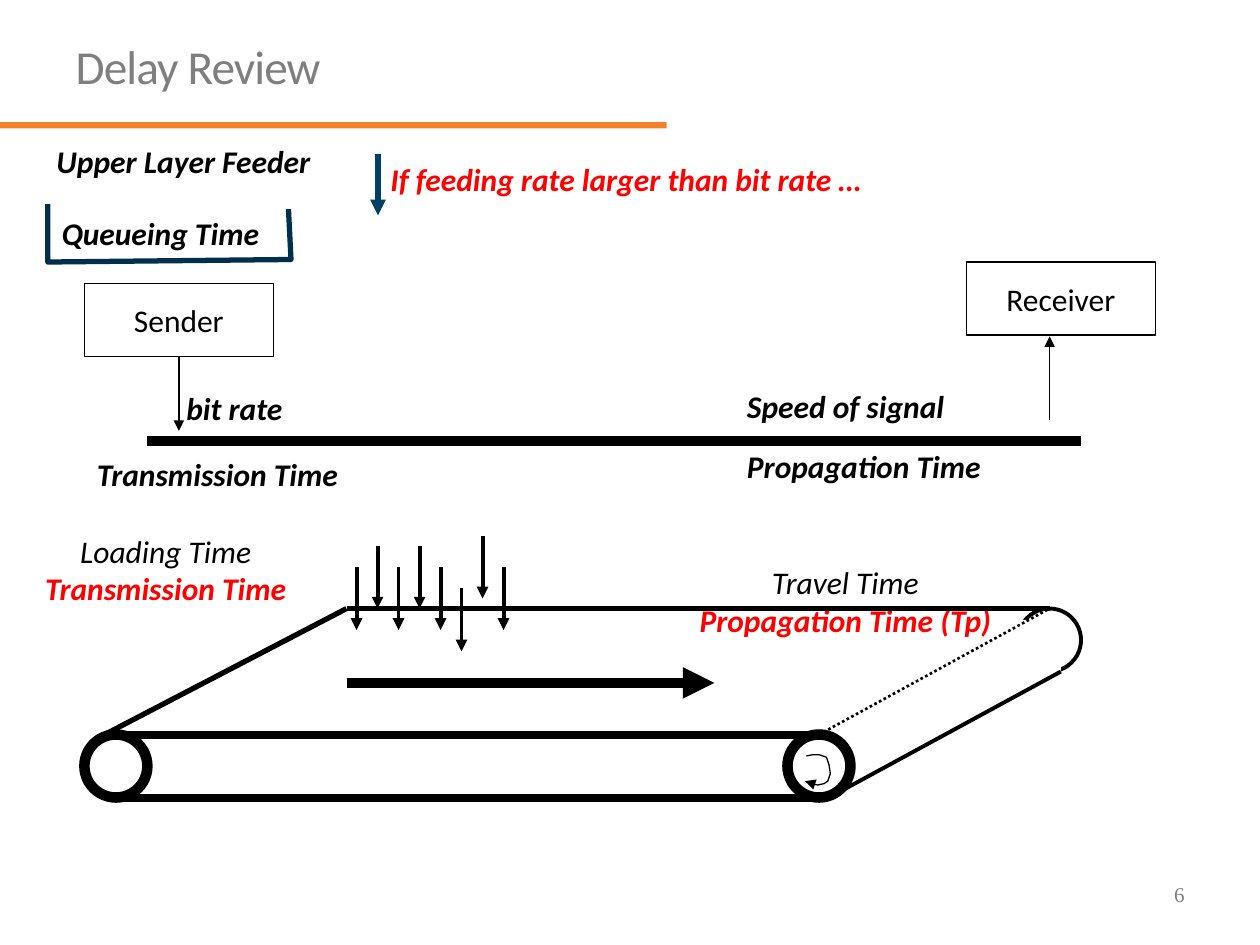
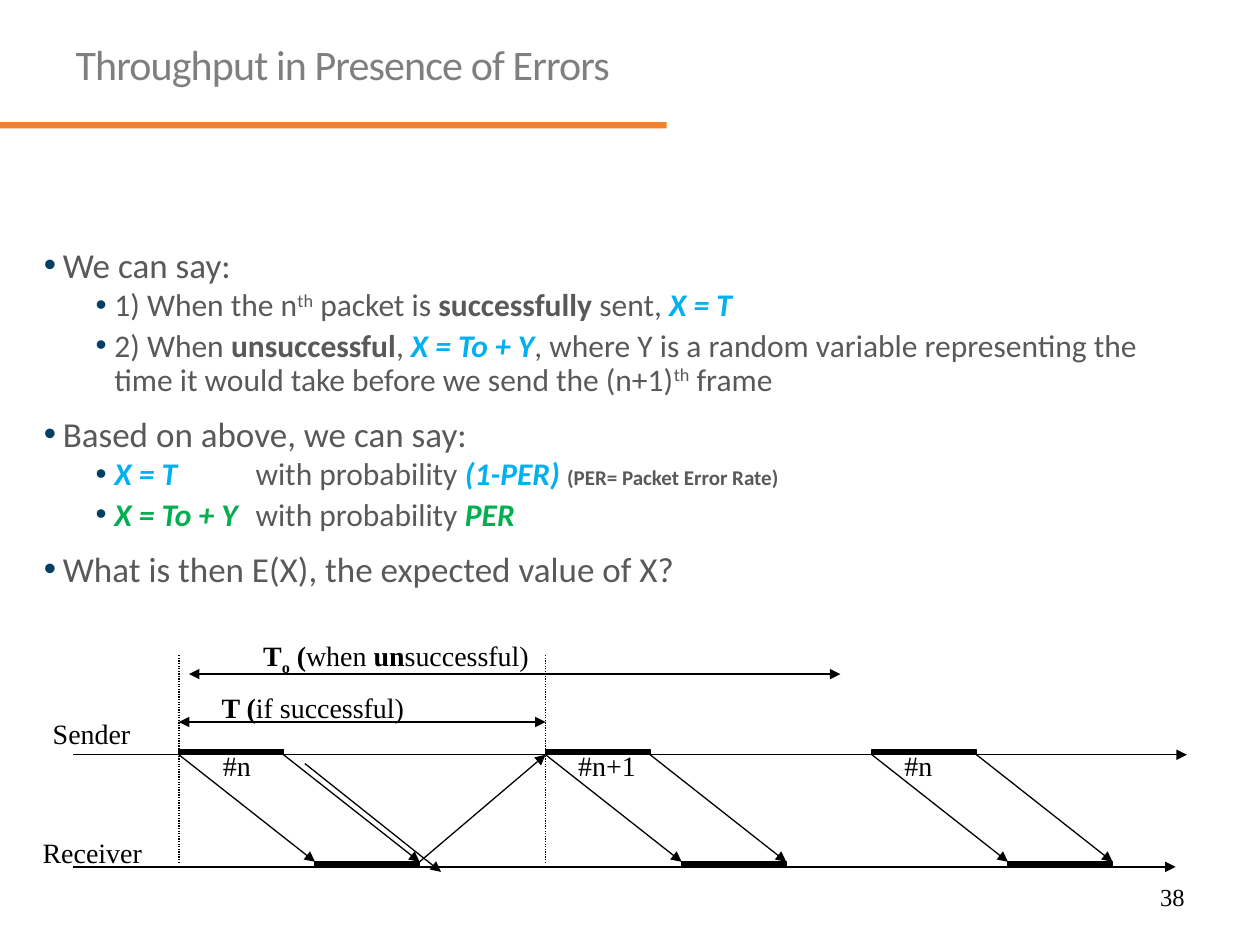
"""Build two lecture slides on delay and throughput."""
import dataclasses

import pptx
import pptx.dml.color
import pptx.enum.dml
import pptx.enum.shapes
import pptx.enum.text
import pptx.oxml
import pptx.oxml.ns
import pptx.util

Inches = pptx.util.Inches
Pt = pptx.util.Pt
SHAPE = pptx.enum.shapes.MSO_SHAPE
ALIGN = pptx.enum.text.PP_ALIGN
ANCHOR = pptx.enum.text.MSO_ANCHOR
qn = pptx.oxml.ns.qn


@dataclasses.dataclass(frozen=True)
class Theme:
    """Colours, fonts and type sizes of the deck."""
    sans: str = "Calibri"
    serif: str = "Times New Roman"
    black: str = "000000"
    white: str = "FFFFFF"
    band: str = "F4812A"
    title: str = "7F7F7F"
    body: str = "595959"
    navy: str = "004065"
    queue: str = "002F4B"
    red: str = "FF0000"
    blue: str = "00B0F0"
    green: str = "00B050"
    thin: float = 0.75
    diagram_size: int = 18
    timing_size: int = 16
    point_size: int = 20
    note_size: int = 12


THEME = Theme()
PLAIN = dict(name=THEME.sans, size=THEME.diagram_size, color=THEME.black)
ITALIC = dict(PLAIN, italic=True)
STRONG = dict(ITALIC, bold=True)
ALERT = dict(STRONG, color=THEME.red)
SERIF = dict(name=THEME.serif, size=THEME.timing_size, color=THEME.black)
POINT = dict(name=THEME.sans, size=THEME.point_size, color=THEME.body)
DETAIL = dict(POINT, size=THEME.diagram_size)
BOLD = dict(bold=True)
SUPER = dict(baseline=30000)
BLUE = dict(color=THEME.blue, bold=True, italic=True)
GREEN = dict(BLUE, color=THEME.green)


def rgb(code):
    """Turn a hex code into a colour."""
    return pptx.dml.color.RGBColor.from_string(code)


def apply(target, **values):
    """Set each given value on the target."""
    for name, value in values.items():
        setattr(target, name, value)


def write(paragraph, runs, style):
    """Add (text, changes) runs that vary one base style."""
    for text, changes in runs:
        values = {**style, **changes}
        run = paragraph.add_run()
        run.text = text
        run.font.color.rgb = rgb(values.pop("color"))
        values["size"] = Pt(values["size"])
        for name in ("baseline", "spc"):
            if name in values:
                run.font._element.set(name, str(values.pop(name)))
        apply(run.font, **values)


def add_ends(shape, head, tail):
    """Put triangular arrowheads on the chosen ends of an outline."""
    outline = shape.element.spPr.find(qn("a:ln"))
    for tag, wanted in (("a:headEnd", head), ("a:tailEnd", tail)):
        if wanted:
            pptx.oxml.ns.qn(tag)
            end = outline.makeelement(qn(tag), {"type": "triangle"})
            outline.append(end)


@dataclasses.dataclass
class Region:
    """Part of a slide whose members are placed from its top left corner."""
    slide: object
    left: float
    top: float

    def at(self, x, y):
        """Give slide lengths for a point of the region."""
        return Inches(self.left + x), Inches(self.top + y)

    def paint(self, shape, fill, outline, width):
        """Set the fill and outline and drop the shadow."""
        shape.shadow.inherit = False
        if fill:
            shape.fill.solid()
            shape.fill.fore_color.rgb = rgb(fill)
        else:
            shape.fill.background()
        if outline:
            shape.line.color.rgb = rgb(outline)
            shape.line.width = Pt(width)
        else:
            shape.line.fill.background()
        return shape

    def shape(self, x, y, width, height, kind=SHAPE.RECTANGLE, fill=None,
              outline=THEME.black, weight=THEME.thin):
        """Add a preset shape."""
        figure = self.slide.shapes.add_shape(
            kind, *self.at(x, y), Inches(width), Inches(height))
        return self.paint(figure, fill, outline, weight)

    def line(self, start, end, weight=THEME.thin, color=THEME.black,
             head=False, tail=False, dotted=False):
        """Add a straight connector."""
        connector = self.slide.shapes.add_connector(
            pptx.enum.shapes.MSO_CONNECTOR.STRAIGHT, *self.at(*start), *self.at(*end))
        connector.line.color.rgb = rgb(color)
        connector.line.width = Pt(weight)
        if dotted:
            connector.line.dash_style = pptx.enum.dml.MSO_LINE.ROUND_DOT
        add_ends(connector, head, tail)
        properties = connector.element.spPr
        properties.append(properties.makeelement(qn("a:effectLst"), {}))
        return connector

    def outline(self, points, color=THEME.black, weight=THEME.thin, tail=False):
        """Add an open outline through the points."""
        start, *others = [self.at(*point) for point in points]
        builder = self.slide.shapes.build_freeform(*start)
        builder.add_line_segments(others, close=False)
        add_ends(self.paint(builder.convert_to_shape(), None, color, weight), False, tail)

    def label(self, x, y, width, height, lines, style, align=ALIGN.LEFT, wrap=False):
        """Add text, one list of runs a paragraph."""
        box = self.slide.shapes.add_textbox(*self.at(x, y), Inches(width), Inches(height))
        box.text_frame.word_wrap = wrap
        for number, runs in enumerate(lines):
            frame = box.text_frame
            paragraph = frame.add_paragraph() if number else frame.paragraphs[0]
            paragraph.alignment = align
            write(paragraph, runs, style)
        return box


def add_titled_slide(deck, title, title_size, number, number_style):
    """Start a slide with its title, orange band and page number."""
    slide = deck.slides.add_slide(deck.slide_layouts[5])
    page = Region(slide, 0, 0)
    page.shape(0, 0.97, 5.29, 0.05, fill=THEME.band, outline=None)
    heading = slide.shapes.title
    apply(heading, left=Inches(0.5), top=Inches(0.3), width=Inches(9), height=Inches(0.67))
    apply(heading.text_frame, vertical_anchor=ANCHOR.TOP, word_wrap=True,
          auto_size=pptx.enum.text.MSO_AUTO_SIZE.NONE)
    paragraph = heading.text_frame.paragraphs[0]
    apply(paragraph, alignment=ALIGN.LEFT, line_spacing=0.9)
    write(paragraph, [(title, {})],
          dict(name=THEME.sans, size=title_size, color=THEME.title, spc=-50))
    page.label(7.17, 6.95, 2.33, 0.4, [[(number, {})]], dict(SERIF, **number_style),
               ALIGN.RIGHT, wrap=True)
    return slide


def add_link(slide, left, top):
    """Draw the sender, the receiver and the link between them."""
    link = Region(slide, left, top)
    stations = {}
    for name, x, y in (("Sender", 0, 0.17), ("Receiver", 7, 0)):
        station = stations[name] = link.shape(x, y, 1.5, 0.58)
        apply(station.text_frame, vertical_anchor=ANCHOR.MIDDLE, word_wrap=False)
        paragraph = station.text_frame.paragraphs[0]
        paragraph.alignment = ALIGN.CENTER
        write(paragraph, [(name, {})], PLAIN)
    link.line((0.75, 0.75), (0.75, 1.34), tail=True).begin_connect(stations["Sender"], 2)
    link.line((7.66, 1.25), (7.66, 0.59), tail=True)
    link.line((0.5, 1.42), (7.91, 1.42), weight=6)
    for text, x, y, width in (("bit rate", 0.71, 0.96, 1.01),
                              ("Propagation Time", 5.16, 1.42, 2.15),
                              ("Transmission Time", 0, 1.48, 2.19),
                              ("Speed of signal", 5.16, 0.94, 1.87)):
        link.label(x, y, width, 0.4, [[(text, {})]], STRONG)


def add_conveyor(slide, left, top):
    """Draw the conveyor belt that stands for the link."""
    belt = Region(slide, left, top)
    for x, y, width, plain, alert in (
            (4.69, 0.25, 2.7, "Travel Time", "Propagation Time (Tp)"),
            (-0.45, 0, 2.19, "Loading Time", "Transmission Time")):
        belt.label(x, y, width, 0.71, [[(plain, {})], [(alert, ALERT)]], ITALIC, ALIGN.CENTER)
    for slot, y in enumerate((0.33, 0.16, 0.33, 0.16, 0.33, 0.5, 0.08, 0.33)):
        x = 2.16 + slot / 6
        belt.line((x, y), (x, y + 0.5), weight=2.25, tail=True)
    belt.line((2.08, 1.25), (5, 1.25), weight=6, tail=True)
    belt.line((0.16, 1.66), (2.08, 0.66), weight=3)
    for x in (0, 5.58):
        belt.shape(x, 1.66, 0.5, 0.5, SHAPE.OVAL, weight=6)
    for y in (1.66, 2.16):
        belt.line((0.25, y), (5.83, y), weight=4.5)
    belt.line((2.08, 0.66), (7.66, 0.66), weight=3)
    belt.shape(7.41, 0.66, 0.5, 0.5, SHAPE.OVAL, weight=2.25)
    belt.shape(7.33, 0.75, 0.42, 0.5, fill=THEME.white, outline=None)
    belt.line((5.83, 1.66), (7.66, 0.66), weight=1.5, dotted=True)
    belt.line((5.91, 2.16), (7.75, 1.16), weight=2.25)
    belt.outline([(5.73, 1.83), (5.78, 1.82), (5.83, 1.82), (5.89, 1.84), (5.91, 1.9),
                  (5.92, 1.97), (5.9, 2.03), (5.87, 2.05), (5.82, 2.06), (5.77, 2.05),
                  (5.72, 2.03)], tail=True)


def add_feeder(slide, left, top):
    """Draw the upper layer feeder and its queue."""
    feeder = Region(slide, left, top)
    feeder.label(0, 0, 2.4, 0.4, [[("Upper Layer Feeder", {})]], STRONG)
    feeder.line((2.65, 0.14), (2.65, 0.63), weight=3, color=THEME.navy, tail=True)
    feeder.label(2.65, 0.14, 4.25, 0.4,
                 [[("If feeding rate larger than bit rate …", {})]], ALERT)
    feeder.label(0.04, 0.57, 1.86, 0.4, [[("Queueing Time", {})]], STRONG)
    feeder.outline([(0.03, 0.54), (0.03, 1), (1.96, 0.98), (1.94, 0.58)], THEME.queue, 3)


def format_bullet(paragraph, indent, before, after):
    """Give a paragraph its spacing, hanging bullet and tab stop."""
    apply(paragraph, line_spacing=0.9, space_before=Pt(before), space_after=Pt(after))
    properties = paragraph._p.get_or_add_pPr()
    properties.set("marL", str(Inches(indent)))
    properties.set("indent", str(Inches(-0.15)))
    namespace = pptx.oxml.ns.nsdecls("a")
    for xml in (f'<a:buClr {namespace}><a:srgbClr val="{THEME.navy}"/></a:buClr>',
                f'<a:buFont {namespace} typeface="Arial"/>',
                f'<a:buChar {namespace} char="•"/>',
                f'<a:tabLst {namespace}><a:tab pos="{Inches(1.68)}" algn="l"/></a:tabLst>'):
        properties.append(pptx.oxml.parse_xml(xml))


def add_statements(slide, left, top):
    """Write the bulleted argument about X."""
    statements = [
        (POINT, [("We can say:", {})]),
        (DETAIL, [("1) When the n", {}), ("th", SUPER), (" packet is ", {}),
                  ("successfully", BOLD), (" sent, ", {}), ("X = T", BLUE)]),
        (DETAIL, [("2) When ", {}), ("unsuccessful", BOLD), (", ", {}), ("X = To + Y", BLUE),
                  (", where Y is a random variable representing the time it would take "
                   "before we send the (n+1)", {}), ("th", SUPER), (" frame", {})]),
        (POINT, [("Based on above, we can say:", {})]),
        (DETAIL, [("X = T", BLUE), ("\twith probability ", {}), ("(1-PER) ", BLUE),
                  ("(PER= Packet Error Rate)", dict(BOLD, size=THEME.note_size))]),
        (DETAIL, [("X = To + Y", GREEN), ("\twith probability ", {}), ("PER", GREEN)]),
        (POINT, [("What is then E(X), the expected value of X?", {})]),
    ]
    frame = Region(slide, left, top).label(0, 0, 9.25, 3, [], POINT, wrap=True).text_frame
    for number, (style, runs) in enumerate(statements):
        paragraph = frame.add_paragraph() if number else frame.paragraphs[0]
        format_bullet(paragraph, *((0.15, 9, 0) if style is POINT else (0.56, 1.9, 1.9)))
        write(paragraph, runs, style)


def add_timeline(slide, left, top):
    """Draw the frames that travel from sender to receiver."""
    timeline = Region(slide, left, top)
    sent, arrived, received = 0.99, 1.84, 1.88
    frame_length, travel = 0.83, 1.08
    first, second, third = 1.17, 4.08, 6.67
    timeline.line((0.33, sent), (9.17, sent), tail=True)
    timeline.line((0.33, received), (9.08, received), tail=True)
    for name, x, y, width in (("Sender", 0.07, 0.64, 0.82), ("Receiver", -0.01, 1.58, 0.99)):
        timeline.label(x, y, width, 0.37, [[(name, {})]], SERIF)
    for x, name, shift, width in ((first, "#n", 0.25, 0.42), (second, "#n+1", 0.16, 0.66),
                                  (third, "#n", 0.16, 0.42)):
        timeline.shape(x, sent - 0.04, frame_length, 0.04, fill=THEME.black)
        timeline.shape(x + travel, arrived, frame_length, 0.04, fill=THEME.black)
        for edge in (x, x + frame_length):
            timeline.line((edge, sent), (edge + travel, arrived), tail=True)
        timeline.label(x + shift, 0.89, width, 0.37, [[(name, {})]], SERIF)
    timeline.line((2.17, 1.06), (3.25, 1.92), tail=True)
    timeline.line((first + travel + frame_length, arrived), (second, sent), tail=True)
    for x in (first, second):
        timeline.line((x, 0.2), (x, arrived), dotted=True)
    timeline.line((first, 0.73), (second, 0.73), head=True, tail=True)
    timeline.line((1.25, 0.35), (6.42, 0.35), head=True, tail=True)
    timeline.label(1.41, 0.43, 2.58, 0.37, [[("T (", BOLD), ("if successful)", {})]],
                   SERIF, wrap=True)
    timeline.label(1.74, 0.02, 3.83, 0.37, [[
        ("T", BOLD), ("o", dict(BOLD, baseline=-25000)), (" (", BOLD), ("when", {}),
        (" un", BOLD), ("successful)", {})]], SERIF, wrap=True)


def main():
    """Build and save the deck."""
    deck = pptx.Presentation()
    apply(deck, slide_width=Inches(10), slide_height=Inches(7.5))
    delay = add_titled_slide(deck, "Delay Review", 27, "6", dict(size=12, color=THEME.title))
    add_link(delay, 0.67, 2.08)
    add_conveyor(delay, 0.67, 4.17)
    add_feeder(delay, 0.35, 1.08)
    throughput = add_titled_slide(deck, "Throughput in Presence of Errors", 24, "38",
                                  dict(size=14))
    add_statements(throughput, 0.25, 1.92)
    add_timeline(throughput, 0.25, 5)
    deck.save("out.pptx")


if __name__ == "__main__":
    main()
